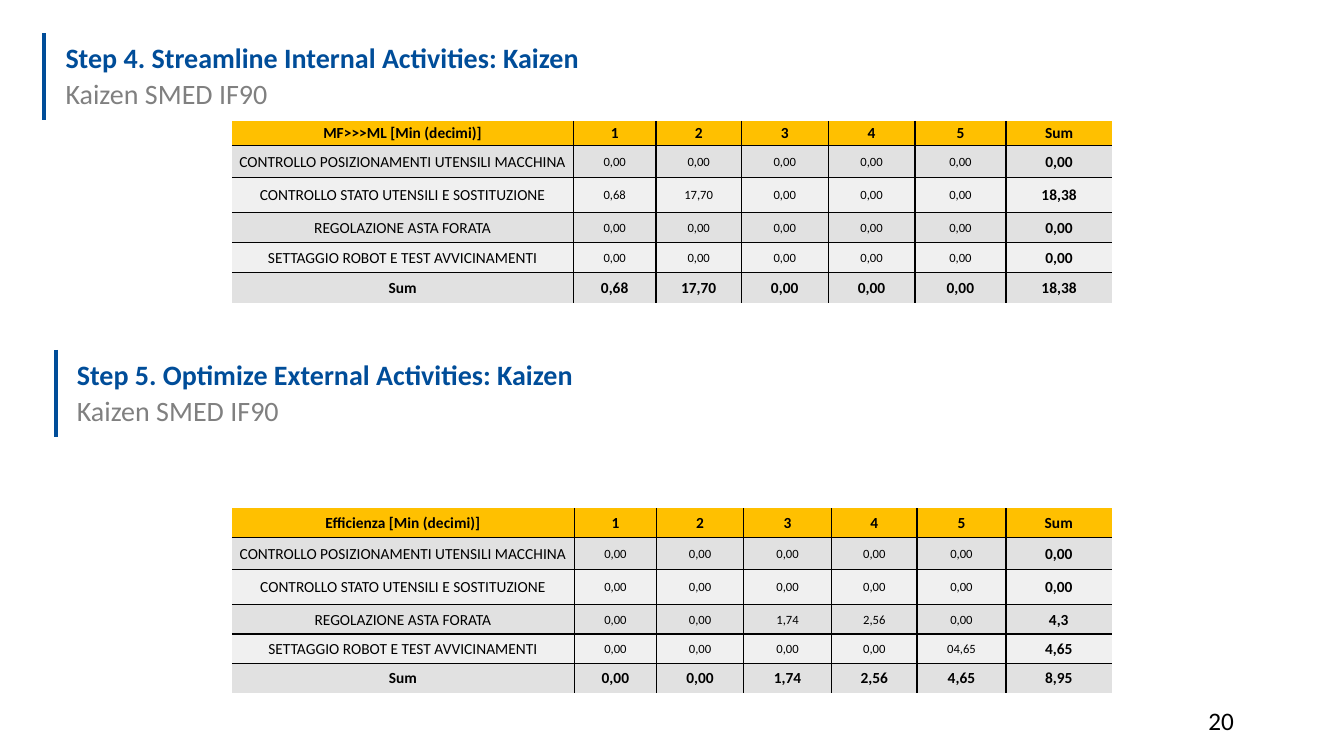
from lxml.etree import SubElement
from pptx import Presentation
from pptx.dml.color import RGBColor
from pptx.enum.shapes import MSO_CONNECTOR as Connector
from pptx.enum.text import MSO_ANCHOR as Anchor, PP_ALIGN as Align
from pptx.oxml import parse_xml
from pptx.oxml.ns import nsdecls, qn
from pptx.util import Pt

BLUE, GREY, BLACK = "004D99", "808080", "000000"
HEADER_FILL, BAND_FILLS = "FFC000", ("F0F0F0", "E1E1E1")

STREAMLINE = [
    ["MF>>>ML [Min (decimi)]", "1", "2", "3", "4", "5", "Sum"],
    ["CONTROLLO POSIZIONAMENTI UTENSILI MACCHINA", "0,00", "0,00", "0,00", "0,00", "0,00", "0,00"],
    ["CONTROLLO STATO UTENSILI E SOSTITUZIONE", "0,68", "17,70", "0,00", "0,00", "0,00", "18,38"],
    ["REGOLAZIONE ASTA FORATA", "0,00", "0,00", "0,00", "0,00", "0,00", "0,00"],
    ["SETTAGGIO ROBOT E TEST AVVICINAMENTI", "0,00", "0,00", "0,00", "0,00", "0,00", "0,00"],
    ["Sum", "0,68", "17,70", "0,00", "0,00", "0,00", "18,38"],
]
OPTIMIZE = [
    ["Efficienza [Min (decimi)]", "1", "2", "3", "4", "5", "Sum"],
    ["CONTROLLO POSIZIONAMENTI UTENSILI MACCHINA", "0,00", "0,00", "0,00", "0,00", "0,00", "0,00"],
    ["CONTROLLO STATO UTENSILI E SOSTITUZIONE", "0,00", "0,00", "0,00", "0,00", "0,00", "0,00"],
    ["REGOLAZIONE ASTA FORATA", "0,00", "0,00", "1,74", "2,56", "0,00", "4,3"],
    ["SETTAGGIO ROBOT E TEST AVVICINAMENTI", "0,00", "0,00", "0,00", "0,00", "04,65", "4,65"],
    ["Sum", "0,00", "0,00", "1,74", "2,56", "4,65", "8,95"],
]


def color(value):
    """Turn a hex string into a colour."""
    return RGBColor.from_string(value)


def write(frame, text, size=20, fill=BLACK, bold=False, align=Align.LEFT):
    """Put one formatted paragraph into a text frame."""
    frame.word_wrap = True
    paragraph = frame.paragraphs[0]
    paragraph.alignment = align
    run = paragraph.add_run()
    run.text = text
    run.font.name = "Calibri"
    run.font.size = Pt(size)
    run.font.bold = bold
    run.font.color.rgb = color(fill)


def add_text(slide, box, text, **style):
    """Add a text box at left, top, width, height."""
    write(slide.shapes.add_textbox(*map(Pt, box)).text_frame, text, **style)


def add_heading(slide, box, title, subtitle):
    """Add a vertical rule with a title and a subtitle beside it."""
    left, top, width, height = box
    rule = slide.shapes.add_connector(
        Connector.STRAIGHT, Pt(left), Pt(top), Pt(left), Pt(top + height))
    rule.line.color.rgb = color(BLUE)
    rule.line.width = Pt(2.75)
    SubElement(rule._element.spPr, qn("a:effectLst"))
    add_text(slide, (left + 8, top + 1.5, width, 31.5), title, fill=BLUE, bold=True)
    add_text(slide, (left + 8, top + 27.5, width, 31.5), subtitle, fill=GREY)


def set_borders(cell, visible):
    """Draw the visible sides of a cell and hide the others."""
    for place, (side, shown) in enumerate(visible.items()):
        paint = f'<a:solidFill><a:srgbClr val="{BLACK}"/></a:solidFill>' if shown else "<a:noFill/>"
        border = parse_xml(f'<a:ln{side} {nsdecls("a")} w="{Pt(1)}">{paint}</a:ln{side}>')
        cell._tc.get_or_add_tcPr().insert(place, border)


def add_times(slide, origin, widths, heights, rows):
    """Add a table of times with inner rules and sums in bold."""
    last_row, last_column = len(rows) - 1, len(widths) - 1
    box = (*origin, sum(widths), sum(heights))
    table = slide.shapes.add_table(len(rows), len(widths), *map(Pt, box)).table
    for column, width in zip(table.columns, widths):
        column.width = Pt(width)
    for r, (values, height) in enumerate(zip(rows, heights)):
        table.rows[r].height = Pt(height)
        for c, value in enumerate(values):
            cell = table.cell(r, c)
            cell.vertical_anchor = Anchor.MIDDLE
            cell.margin_left = cell.margin_right = cell.margin_top = Pt(0.7)
            cell.margin_bottom = 0
            cell.fill.solid()
            cell.fill.fore_color.rgb = color(BAND_FILLS[r % 2] if r else HEADER_FILL)
            if r == last_row:
                cell.fill.fore_color.rgb = color(BAND_FILLS[1])
            bold = r in (0, last_row) or c == last_column
            write(cell.text_frame, value, size=11 if bold or c == 0 else 9,
                  bold=bold, align=Align.CENTER)
            set_borders(cell, {"L": c > 0, "R": c < last_column,
                               "T": r > 0, "B": r < last_row})


def main():
    """Build the slide and save it."""
    deck = Presentation()
    deck.slide_width, deck.slide_height = Pt(960), Pt(540)
    slide = deck.slides.add_slide(deck.slide_layouts[6])
    add_heading(slide, (31.7, 23.8, 497, 62),
                "Step 4. Streamline Internal Activities: Kaizen", "Kaizen SMED IF90")
    add_times(slide, (165.6, 86.4), (244, 59, 61, 62, 62, 65, 76),
              (17.5, 23, 25, 21.5, 21.5, 21.5), STREAMLINE)
    add_heading(slide, (39.8, 250, 497, 62),
                "Step 5. Optimize External Activities: Kaizen", "Kaizen SMED IF90")
    add_times(slide, (165.6, 362.9), (244.5, 59, 62, 63, 61, 63.5, 75.5),
              (21, 23, 25, 21, 21, 21), OPTIMIZE)
    add_text(slide, (851, 500.4, 42.5, 28.8), "20", size=18, align=Align.CENTER)
    deck.save("out.pptx")


if __name__ == "__main__":
    main()
